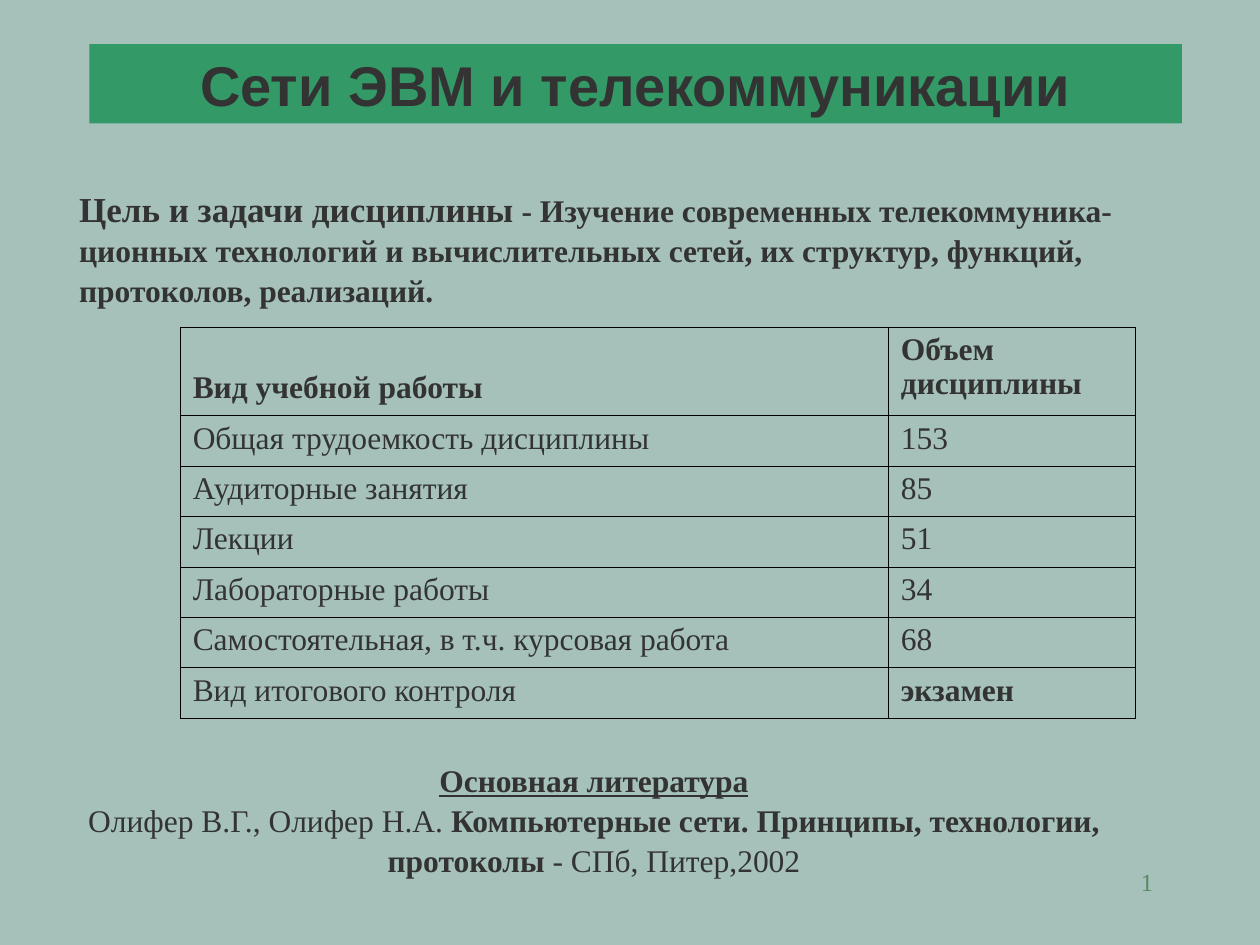
from dataclasses import dataclass

from lxml.etree import SubElement
from pptx import Presentation
from pptx.dml.color import RGBColor
from pptx.enum.text import MSO_ANCHOR, MSO_AUTO_SIZE, PP_ALIGN
from pptx.oxml.ns import qn
from pptx.util import Inches, Pt


@dataclass(frozen=True)
class Theme:
    """Colours, fonts and type sizes of the deck."""
    background: str = "A5C1BA"
    banner: str = "339966"
    ink: str = "333333"
    number: str = "578963"
    border: str = "000000"
    heading_font: str = "Arial"
    body_font: str = "Times New Roman"
    title_size: int = 32
    lead_size: int = 20
    body_size: int = 18
    number_size: int = 14
    border_width: float = 0.45
    body_spacing: float = 1.05
    table_spacing: float = 0.97


THEME = Theme()

WORKLOAD = [
    ("Вид учебной работы", "Объем дисциплины"),
    ("Общая трудоемкость дисциплины", "153"),
    ("Аудиторные занятия", "85"),
    ("Лекции", "51"),
    ("Лабораторные работы", "34"),
    ("Самостоятельная, в т.ч. курсовая работа", "68"),
    ("Вид итогового контроля", "экзамен"),
]
BOLD_CELLS = {"Вид учебной работы", "Объем дисциплины", "экзамен"}


def add_span(para, text, size=THEME.body_size, font=THEME.body_font,
             color=THEME.ink, bold=False, underline=False):
    """Append formatted text to a paragraph."""
    span = para.add_run()
    span.text = text
    span.font.size = Pt(size)
    span.font.name = font
    span.font.color.rgb = RGBColor.from_string(color)
    span.font.bold = bold
    span.font.underline = underline


def add_text_frame(page, box, anchor=MSO_ANCHOR.MIDDLE):
    """Add a wrapping text box and return its frame."""
    frame = page.shapes.add_textbox(*map(Inches, box)).text_frame
    frame.word_wrap = True
    frame.vertical_anchor = anchor
    return frame


def set_borders(cell):
    """Draw a thin line on every side of a cell."""
    properties = cell._tc.get_or_add_tcPr()
    for position, side in enumerate(("lnL", "lnR", "lnT", "lnB")):
        line = SubElement(properties, qn(f"a:{side}"), w=str(Pt(THEME.border_width)))
        fill = SubElement(line, qn("a:solidFill"))
        SubElement(fill, qn("a:srgbClr"), val=THEME.border)
        properties.insert(position, line)


def place_title(page, box):
    """Turn the title placeholder into a coloured banner."""
    title = page.shapes.title
    title.left, title.top, title.width, title.height = map(Inches, box)
    title.fill.solid()
    title.fill.fore_color.rgb = RGBColor.from_string(THEME.banner)
    frame = title.text_frame
    frame.auto_size = MSO_AUTO_SIZE.NONE
    frame.vertical_anchor = MSO_ANCHOR.MIDDLE
    para = frame.paragraphs[0]
    para.alignment = PP_ALIGN.CENTER
    add_span(para, "Сети ЭВМ и телекоммуникации", size=THEME.title_size,
             font=THEME.heading_font, bold=True)


def place_goal(page, box):
    """Write the goal of the course."""
    para = add_text_frame(page, box).paragraphs[0]
    para.line_spacing = THEME.body_spacing
    add_span(para, "Цель и задачи дисциплины", size=THEME.lead_size, bold=True)
    add_span(para, " - Изучение современных телекоммуника-ционных технологий и "
             "вычислительных сетей, их структур, функций, протоколов, реализаций.",
             bold=True)


def place_workload(page, box, column_widths, header_height):
    """Build the workload table with equal rows under the header."""
    table = page.shapes.add_table(len(WORKLOAD), len(column_widths),
                                  *map(Inches, box)).table
    table.first_row = table.horz_banding = False
    for column, width in zip(table.columns, column_widths):
        column.width = Inches(width)
    row_height = (box[3] - header_height) / (len(WORKLOAD) - 1)
    for row_index, (row, texts) in enumerate(zip(table.rows, WORKLOAD)):
        row.height = Inches(row_height if row_index else header_height)
        for cell, text in zip(row.cells, texts):
            cell.fill.background()
            set_borders(cell)
            para = cell.text_frame.paragraphs[0]
            para.alignment = PP_ALIGN.JUSTIFY
            para.line_spacing = THEME.table_spacing
            add_span(para, text, bold=text in BOLD_CELLS)
    header = table.cell(0, 0)
    header.vertical_anchor = MSO_ANCHOR.BOTTOM
    header.margin_bottom = Inches(0.08)


def place_literature(page, box):
    """Write the main reference under its heading."""
    frame = add_text_frame(page, box)
    heading, reference = frame.paragraphs[0], frame.add_paragraph()
    for para in (heading, reference):
        para.alignment = PP_ALIGN.CENTER
        para.line_spacing = THEME.body_spacing
    add_span(heading, "Основная литература", bold=True, underline=True)
    add_span(reference, "Олифер В.Г., Олифер Н.А. ")
    add_span(reference, "Компьютерные сети. Принципы, технологии, протоколы", bold=True)
    add_span(reference, " - СПб, Питер,2002")


def place_number(page, box):
    """Write the page number at the right."""
    para = add_text_frame(page, box, anchor=MSO_ANCHOR.TOP).paragraphs[0]
    para.alignment = PP_ALIGN.RIGHT
    add_span(para, "1", size=THEME.number_size, color=THEME.number)


def main():
    """Build the deck and save it."""
    deck = Presentation()
    deck.slide_width, deck.slide_height = Inches(10), Inches(7.5)
    page = deck.slides.add_slide(deck.slide_layouts.get_by_name("Title Only"))
    page.background.fill.solid()
    page.background.fill.fore_color.rgb = RGBColor.from_string(THEME.background)
    place_number(page, (7.17, 6.83, 2.08, 0.5))
    place_goal(page, (0.53, 1.44, 9.24, 1.04))
    place_workload(page, (1.43, 2.6, 7.58, 3.1), (5.62, 1.96), 0.7)
    place_title(page, (0.71, 0.35, 8.67, 0.63))
    place_literature(page, (0.2, 6, 9.03, 1))
    deck.save("out.pptx")


if __name__ == "__main__":
    main()
